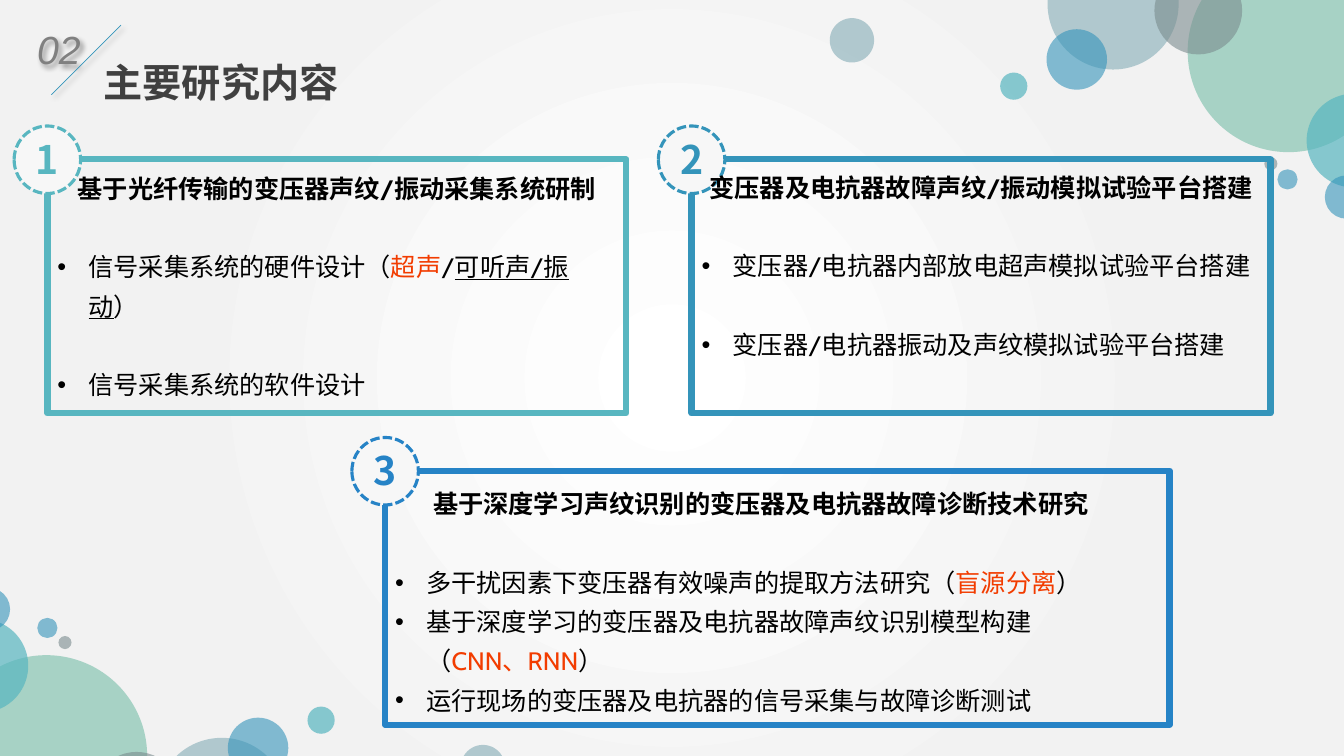
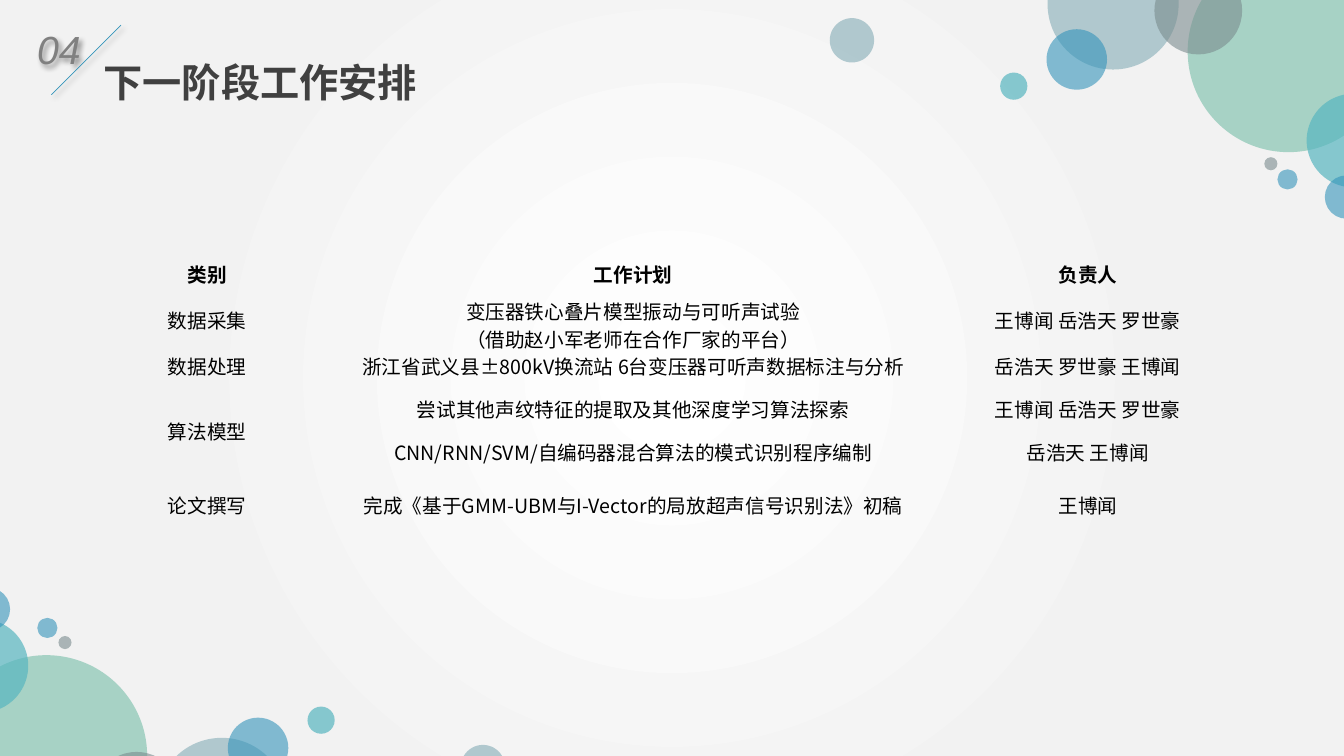
from dataclasses import dataclass

from lxml.etree import SubElement
from pptx import Presentation
from pptx.dml.color import RGBColor
from pptx.enum.dml import MSO_LINE_DASH_STYLE as Dash
from pptx.enum.shapes import MSO_CONNECTOR as Connector, MSO_SHAPE as Shape
from pptx.enum.text import MSO_ANCHOR as Anchor, PP_ALIGN as Align
from pptx.oxml import parse_xml
from pptx.oxml.ns import nsdecls, qn
from pptx.util import Inches, Pt


@dataclass(frozen=True)
class Theme:
    teal: str = "58B6C0"
    ocean: str = "3494BA"
    blue: str = "2683C6"
    green: str = "75BDA7"
    mist: str = "84ACB6"
    slate: str = "7A8C8E"
    text: str = "000000"
    title: str = "404040"
    section: str = "808080"
    accent: str = "F23C00"
    badge: str = "F7F7F7"
    paper: str = "F2F2F2"
    center: str = "FFFFFF"
    body_font: str = "Cabin"
    cjk_font: str = "Noto Sans CJK SC"
    number_font: str = "Arial"
    title_size: int = 28
    body_size: int = 18
    table_size: int = 14
    leading: float = 1.3


THEME = Theme()

# Center x, center y, diameter, colour, opacity; the lower corner is turned by 180 degrees
BUBBLES = [
    (11.04, 0.04, 1.3, THEME.mist, 60), (12.78, 0.51, 2, THEME.green, 60),
    (11.88, 0.11, 0.87, THEME.slate, 60), (10.68, 0.59, 0.6, THEME.ocean, 60),
    (13.43, 1.4, 0.93, THEME.teal, 70), (10.05, 0.86, 0.27, THEME.teal, 70),
    (13.36, 1.96, 0.43, THEME.ocean, 60), (12.77, 1.78, 0.2, THEME.ocean, 60),
    (12.6, 1.63, 0.13, THEME.slate, 60), (8.45, 0.4, 0.44, THEME.mist, 60),
]
TURN_X, TURN_Y = 13.24, 8.01

RED = {"color": THEME.accent}
LINED = {"underline": True}

# Each item is a list of (text, format) runs
PANELS = [
    {"box": (0.47, 1.58, 5.74, 2.52), "text_top": 0, "text_width": 5.74,
     "color": THEME.teal, "gap": 28,
     "heading": "基于光纤传输的变压器声纹/振动采集系统研制",
     "items": [
         [("信号采集系统的硬件设计（", {}), ("超声", RED), ("/", {}),
          ("可听声/振动", LINED), ("）", {})],
         [("信号采集系统的软件设计", {})]]},
    {"box": (6.86, 1.58, 5.74, 2.52), "text_top": -0.01, "text_width": 5.74,
     "color": THEME.ocean, "gap": 28,
     "heading": "变压器及电抗器故障声纹/振动模拟试验平台搭建",
     "items": [
         [("变压器/电抗器内部放电超声模拟试验平台搭建", {})],
         [("变压器/电抗器振动及声纹模拟试验平台搭建", {})]]},
    {"box": (3.82, 4.67, 7.78, 2.52), "text_top": 0.04, "text_width": 7.45,
     "color": THEME.blue, "gap": 0,
     "heading": "基于深度学习声纹识别的变压器及电抗器故障诊断技术研究",
     "items": [
         [("多干扰因素下变压器有效噪声的提取方法研究（", {}),
          ("盲源分离", RED), ("）", {})],
         [("基于深度学习的变压器及电抗器故障声纹识别模型构建（", {}),
          ("CNN、RNN", RED), ("）", {})],
         [("运行现场的变压器及电抗器的信号采集与故障诊断测试", {})]]},
]

PLAN = [
    ("类别", "工作计划", "负责人"),
    ("数据采集", "变压器铁心叠片模型振动与可听声试验\n（借助赵小军老师在合作厂家的平台）",
     "王博闻 岳浩天 罗世豪"),
    ("数据处理", "浙江省武义县±800kV换流站 6台变压器可听声数据标注与分析",
     "岳浩天 罗世豪 王博闻"),
    ("算法模型", "尝试其他声纹特征的提取及其他深度学习算法探索", "王博闻 岳浩天 罗世豪"),
    (None, "CNN/RNN/SVM/自编码器混合算法的模式识别程序编制", "岳浩天 王博闻"),
    ("论文撰写", "完成《基于GMM-UBM与I-Vector的局放超声信号识别法》初稿", "王博闻"),
]


# Shared helpers
def apply_format(target, values):
    for name, value in values.items():
        setattr(target, name, value)


def inches(*lengths):
    return [Inches(round(length, 2)) for length in lengths]


def add_run(paragraph, text, font, size, color=THEME.text, **values):
    run = paragraph.add_run()
    run.text = text
    apply_format(run.font, {"name": font, "size": Pt(size), **values})
    run.font.color.rgb = RGBColor.from_string(color)
    SubElement(run.font._element, qn("a:ea"), typeface=font)


def add_text_box(slide, box):
    text_box = slide.shapes.add_textbox(*inches(*box))
    text_box.text_frame.word_wrap = True
    return text_box


def add_outline(slide, preset, box, color, width):
    shape = slide.shapes.add_shape(preset, *inches(*box))
    shape.shadow.inherit = False
    shape.fill.background()
    shape.line.color.rgb = RGBColor.from_string(color)
    shape.line.width = Pt(width)
    return shape


def add_soft_shadow(shape):
    shape._element.spPr.append(parse_xml(
        f'<a:effectLst {nsdecls("a")}><a:outerShdw blurRad="{Pt(4)}" dist="{Pt(3)}" '
        'dir="2700000" algn="tl" rotWithShape="0"><a:srgbClr val="000000">'
        '<a:alpha val="40000"/></a:srgbClr></a:outerShdw></a:effectLst>'))


def add_bullet(paragraph):
    properties = paragraph._p.get_or_add_pPr()
    properties.set("marL", str(Inches(0.31)))
    properties.set("indent", str(-Inches(0.31)))
    SubElement(properties, qn("a:buFont"), typeface=THEME.number_font)
    SubElement(properties, qn("a:buChar"), char="•")


# Background and corner bubbles
def set_background(master):
    master.background.fill.solid()
    solid = next(master._element.iter(qn("p:bgPr"))).find(qn("a:solidFill"))
    stops = "".join(
        f'<a:gs pos="{position}000"><a:srgbClr val="{color}"/></a:gs>'
        for position, color in ((0, THEME.center), (67, THEME.paper), (100, THEME.paper)))
    solid.getparent().replace(solid, parse_xml(
        f'<a:gradFill {nsdecls("a")} rotWithShape="1"><a:gsLst>{stops}</a:gsLst>'
        '<a:path path="circle"><a:fillToRect l="50000" t="50000" r="50000" b="50000"/>'
        '</a:path></a:gradFill>'))


def add_bubbles(slide, turned):
    for x, y, size, color, opacity in BUBBLES:
        if turned:
            x, y = TURN_X - x, TURN_Y - y
        bubble = slide.shapes.add_shape(
            Shape.OVAL, *inches(x - size / 2, y - size / 2, size, size))
        bubble.shadow.inherit = False
        bubble.fill.solid()
        bubble.fill.fore_color.rgb = RGBColor.from_string(color)
        bubble.line.fill.background()
        tint = next(bubble._element.spPr.iter(qn("a:srgbClr")))
        SubElement(tint, qn("a:alpha"), val=str(opacity * 1000))


# Title with slanted section number
def add_title(slide, number, title, left=0.27, top=0.06):
    parts = [
        ((left + 0.66, top + 0.33, 4.2, 0.75), title,
         {"font": THEME.body_font, "color": THEME.title, "bold": True}),
        ((left, top, 0.78, 0.65), number,
         {"font": THEME.number_font, "color": THEME.section, "italic": True}),
    ]
    for box, text, values in parts:
        text_box = add_text_box(slide, box)
        paragraph = text_box.text_frame.paragraphs[0]
        paragraph.line_spacing = THEME.leading
        add_run(paragraph, text, size=THEME.title_size, **values)
    add_soft_shadow(text_box)

    slash = slide.shapes.add_connector(
        Connector.STRAIGHT,
        *inches(left + 0.93, top + 0.19, left + 0.24, top + 0.88))
    slash.line.color.rgb = RGBColor.from_string(THEME.ocean)
    slash.line.width = Pt(0.5)
    add_soft_shadow(slash)


def add_base_slide(presentation, number, title):
    slide = presentation.slides.add_slide(presentation.slide_layouts[6])
    for turned in (False, True):
        add_bubbles(slide, turned)
    add_title(slide, number, title)
    return slide


# Numbered panel: frame, badge, heading and bullets
def add_badge(slide, box, number, color):
    badge = add_outline(slide, Shape.OVAL, box, color, 2.25)
    badge.line.dash_style = Dash.SQUARE_DOT
    badge.fill.solid()
    badge.fill.fore_color.rgb = RGBColor.from_string(THEME.badge)
    sides = ("left", "top", "right", "bottom")
    apply_format(badge.text_frame, {
        "vertical_anchor": Anchor.MIDDLE, **{f"margin_{side}": 0 for side in sides}})
    paragraph = badge.text_frame.paragraphs[0]
    apply_format(paragraph, {"alignment": Align.CENTER, "line_spacing": Pt(32)})
    add_run(paragraph, str(number), THEME.cjk_font, THEME.title_size, color, bold=True)


def add_panel(slide, number, panel):
    left, top, width, height = panel["box"]
    add_outline(slide, Shape.FLOWCHART_PROCESS, panel["box"], panel["color"], 4.5)
    add_badge(slide, (left - 0.33, top - 0.33, 0.66, 0.67), number, panel["color"])

    text_box = add_text_box(
        slide, (left, top + panel["text_top"], panel["text_width"], height - 0.06))
    frame = text_box.text_frame
    heading = frame.paragraphs[0]
    apply_format(heading, {"alignment": Align.CENTER, "line_spacing": THEME.leading})
    add_run(heading, panel["heading"], THEME.body_font, THEME.body_size, bold=True)
    for index, runs in enumerate(panel["items"]):
        paragraph = frame.add_paragraph()
        add_bullet(paragraph)
        apply_format(paragraph, {
            "line_spacing": THEME.leading,
            "space_before": Pt(panel["gap"] if index else 28)})
        for text, values in runs:
            add_run(paragraph, text, THEME.body_font, THEME.body_size, **values)


# Work plan table
def fill_cell(cell, text, bold):
    cell.fill.background()
    margin = Inches(0.01)
    apply_format(cell, {
        "vertical_anchor": Anchor.MIDDLE, "margin_left": margin,
        "margin_top": margin, "margin_right": margin, "margin_bottom": 0})
    if text is None:
        return
    frame = cell.text_frame
    for index, line in enumerate(text.split("\n")):
        paragraph = frame.add_paragraph() if index else frame.paragraphs[0]
        paragraph.alignment = Align.CENTER
        add_run(paragraph, line, THEME.cjk_font, THEME.table_size, bold=bold)


def add_plan_table(slide, left, top):
    widths, heights = (2.03, 6.42, 2.6), (0.43,) * 5 + (0.61,)
    table = slide.shapes.add_table(
        len(heights), len(widths),
        *inches(left, top, sum(widths), sum(heights))).table
    apply_format(table, {"first_row": False, "horz_banding": False})
    plain_style = "{2D5ABB26-0587-4C30-8999-92F81FD0307C}"
    table._tbl.tblPr.find(qn("a:tableStyleId")).text = plain_style
    for column, width in zip(table.columns, widths):
        column.width = Inches(width)
    for row, height in zip(table.rows, heights):
        row.height = Inches(height)
    for row_index, values in enumerate(PLAN):
        for column_index, text in enumerate(values):
            fill_cell(table.cell(row_index, column_index), text, row_index == 0)
    table.cell(3, 0).merge(table.cell(4, 0))


def main():
    presentation = Presentation()
    apply_format(presentation, {
        "slide_width": Inches(13.33), "slide_height": Inches(7.5)})
    set_background(presentation.slide_master)

    research = add_base_slide(presentation, "02", "主要研究内容")
    for number, panel in enumerate(PANELS, 1):
        add_panel(research, number, panel)

    schedule = add_base_slide(presentation, "04", "下一阶段工作安排")
    add_plan_table(schedule, 1.04, 2.5)

    presentation.save("out.pptx")


if __name__ == "__main__":
    main()
